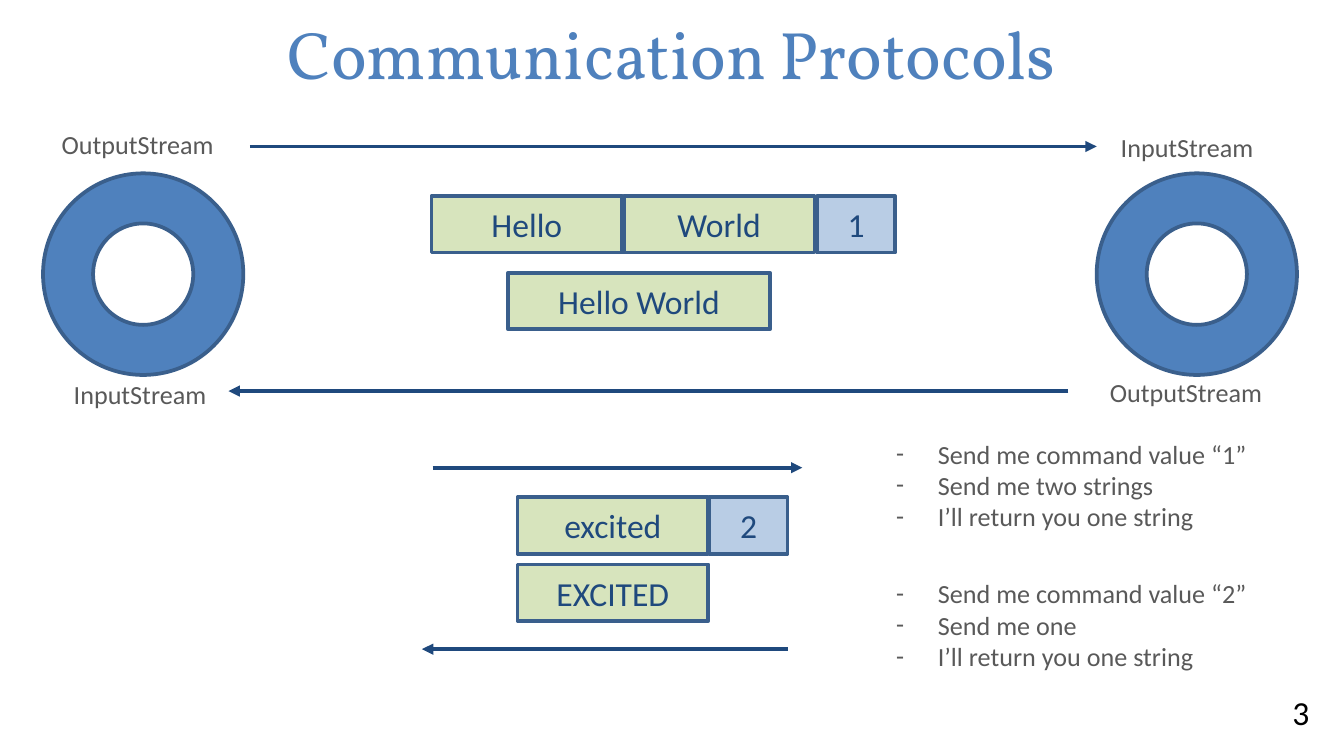
from lxml import etree
from pptx import Presentation
from pptx.dml.color import RGBColor
from pptx.enum.shapes import MSO_CONNECTOR, MSO_SHAPE
from pptx.enum.text import MSO_ANCHOR, PP_ALIGN
from pptx.oxml.ns import qn
from pptx.util import Inches, Pt

COLORS = {
    "blue": "4F81BD",
    "outline": "3A5F8C",
    "navy": "1F497D",
    "string": "D7E4BD",
    "command": "B9CDE5",
    "label": "595959",
    "number": "000000",
}


def add_run(paragraph, text, size, color, font="Calibri"):
    run = paragraph.add_run()
    run.text = text
    run.font.size = Pt(size)
    run.font.name = font
    run.font.color.rgb = RGBColor.from_string(COLORS[color])


def add_block(kind, left, top, width, height, fill):
    block = slide.shapes.add_shape(
        kind, Inches(left), Inches(top), Inches(width), Inches(height))
    block.shadow.inherit = False
    block.fill.solid()
    block.fill.fore_color.rgb = RGBColor.from_string(COLORS[fill])
    block.line.color.rgb = RGBColor.from_string(COLORS["outline"])
    block.line.width = Pt(2)
    return block


prs = Presentation()
prs.slide_width = Inches(10)
prs.slide_height = Inches(10 * 9 / 16)
slide = prs.slides.add_slide(prs.slide_layouts[5])

title = slide.shapes.title
title.left, title.top = Inches(0.08), Inches(0.06)
title.width, title.height = Inches(9.83), Inches(0.67)
title.text_frame.vertical_anchor = MSO_ANCHOR.MIDDLE
heading = title.text_frame.paragraphs[0]
heading.alignment = PP_ALIGN.CENTER
add_run(heading, "Communication Protocols", 36, "blue", "Vollkorn")

for left in (0.32, 8.16):
    add_block(MSO_SHAPE.DONUT, left, 1.29, 1.49, 1.5, "blue")

messages = [
    ("Hello", 3.21, 1.46, 1.42, "string"),
    ("World", 4.64, 1.46, 1.42, "string"),
    ("1", 6.08, 1.46, 0.58, "command"),
    ("Hello World", 3.78, 2.03, 1.95, "string"),
    ("excited", 3.85, 3.7, 1.42, "string"),
    ("2", 5.28, 3.7, 0.58, "command"),
    ("EXCITED", 3.85, 4.2, 1.42, "string"),
]
for text, left, top, width, fill in messages:
    message = add_block(MSO_SHAPE.RECTANGLE, left, top, width, 0.42, fill)
    message.text_frame.vertical_anchor = MSO_ANCHOR.MIDDLE
    paragraph = message.text_frame.paragraphs[0]
    paragraph.alignment = PP_ALIGN.CENTER
    add_run(paragraph, text, 18, "navy")

for start, end, y in [(1.86, 8.16, 1.09), (7.95, 1.7, 2.91),
                      (3.22, 5.97, 3.48), (5.86, 3.14, 4.83)]:
    arrow = slide.shapes.add_connector(
        MSO_CONNECTOR.STRAIGHT, Inches(start), Inches(y), Inches(end), Inches(y))
    arrow.line.color.rgb = RGBColor.from_string(COLORS["navy"])
    arrow.line.width = Pt(2)
    outline = arrow._element.spPr.find(qn("a:ln"))
    etree.SubElement(outline, qn("a:tailEnd"), type="triangle")
    etree.SubElement(arrow._element.spPr, qn("a:effectLst"))

for text, left, top, width in [("OutputStream", 0.36, 0.91, 1.4),
                               ("InputStream", 0.45, 2.77, 1.25),
                               ("InputStream", 8.24, 0.93, 1.25),
                               ("OutputStream", 8.16, 2.75, 1.4)]:
    stream = slide.shapes.add_textbox(
        Inches(left), Inches(top), Inches(width), Inches(0.34))
    stream.text_frame.word_wrap = True
    add_run(stream.text_frame.paragraphs[0], text, 14, "label")

rules = [
    (3.21, ["Send me command value “1”", "Send me two strings",
            "I’ll return you one string"]),
    (4.25, ["Send me command value “2”", "Send me one",
            "I’ll return you one string"]),
]
for top, lines in rules:
    protocol = slide.shapes.add_textbox(
        Inches(6.57), Inches(top), Inches(2.99), Inches(0.81))
    frame = protocol.text_frame
    frame.word_wrap = True
    for index, line in enumerate(lines):
        paragraph = frame.add_paragraph() if index else frame.paragraphs[0]
        properties = paragraph._p.get_or_add_pPr()
        properties.set("marL", str(Inches(0.31)))
        properties.set("indent", str(Inches(-0.31)))
        etree.SubElement(properties, qn("a:buFont"), typeface="Calibri")
        etree.SubElement(properties, qn("a:buChar"), char="-")
        add_run(paragraph, line, 14, "label")

page_number = slide.shapes.add_textbox(
    Inches(9.17), Inches(5.15), Inches(0.67), Inches(0.3))
page_number.text_frame.word_wrap = True
page_number.text_frame.vertical_anchor = MSO_ANCHOR.MIDDLE
paragraph = page_number.text_frame.paragraphs[0]
paragraph.alignment = PP_ALIGN.RIGHT
add_run(paragraph, "3", 18, "number")

prs.save("out.pptx")
